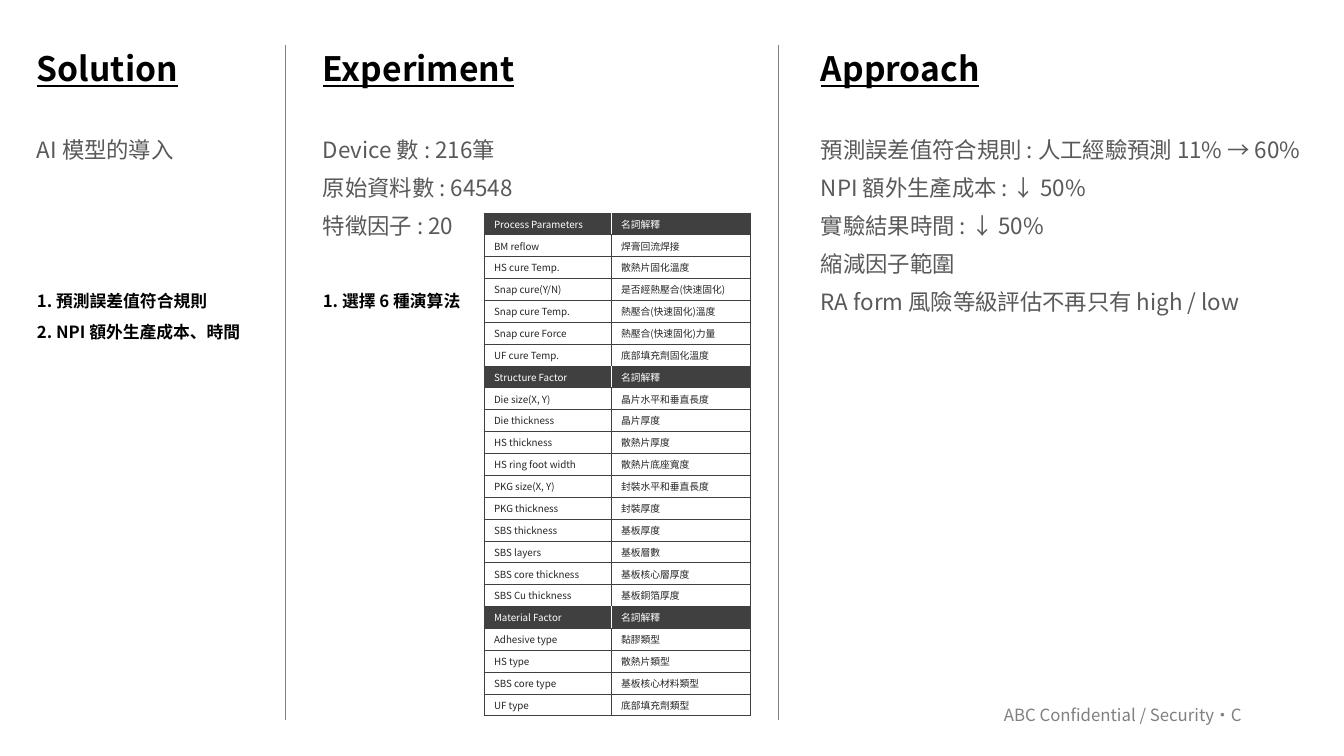
from lxml import etree
from pptx import Presentation
from pptx.dml.color import RGBColor
from pptx.enum.shapes import MSO_CONNECTOR
from pptx.enum.text import MSO_ANCHOR, MSO_AUTO_SIZE
from pptx.oxml.ns import qn
from pptx.util import Pt

STRAIGHT = MSO_CONNECTOR.STRAIGHT
MIDDLE = MSO_ANCHOR.MIDDLE
GROW = MSO_AUTO_SIZE.SHAPE_TO_FIT_TEXT

BLACK = RGBColor(0x00, 0x00, 0x00)
WHITE = RGBColor(0xFF, 0xFF, 0xFF)
DARK = RGBColor(0x40, 0x40, 0x40)
CELL_INK = RGBColor(0x26, 0x26, 0x26)
BODY_INK = RGBColor(0x59, 0x59, 0x59)
GRAY = RGBColor(0x80, 0x80, 0x80)
FONT = "Noto Sans CJK SC"

# Content: left, width, heading, body lines, numbered notes with their width
COLUMNS = [
    (27, 168, "Solution", ["AI 模型的導入"],
     ["1. 預測誤差值符合規則", "2. NPI 額外生產成本、時間"], 236),
    (313, 222, "Experiment",
     ["Device 數 : 216筆", "原始資料數 : 64548", "特徵因子 : 20"],
     ["1. 選擇 6 種演算法"], 162),
    (811, 512, "Approach",
     ["預測誤差值符合規則 : 人工經驗預測 11% → 60%", "NPI 額外生產成本 : ↓ 50%",
      "實驗結果時間 : ↓ 50%", "縮減因子範圍",
      "RA form 風險等級評估不再只有 high / low"], [], 0),
]
FOOTER = "ABC Confidential / Security·C"
TERM_HEADING = "名詞解釋"
FACTOR_GROUPS = {
    "Process Parameters": [
        ("BM reflow", "焊膏回流焊接"),
        ("HS cure Temp.", "散熱片固化溫度"),
        ("Snap cure(Y/N)", "是否經熱壓合(快速固化)"),
        ("Snap cure Temp.", "熱壓合(快速固化)溫度"),
        ("Snap cure Force", "熱壓合(快速固化)力量"),
        ("UF cure Temp.", "底部填充劑固化溫度"),
    ],
    "Structure Factor": [
        ("Die size(X, Y)", "晶片水平和垂直長度"),
        ("Die thickness", "晶片厚度"),
        ("HS thickness", "散熱片厚度"),
        ("HS ring foot width", "散熱片底座寬度"),
        ("PKG size(X, Y)", "封裝水平和垂直長度"),
        ("PKG thickness", "封裝厚度"),
        ("SBS thickness", "基板厚度"),
        ("SBS layers", "基板層數"),
        ("SBS core thickness", "基板核心層厚度"),
        ("SBS Cu thickness", "基板銅箔厚度"),
    ],
    "Material Factor": [
        ("Adhesive type", "黏膠類型"),
        ("HS type", "散熱片類型"),
        ("SBS core type", "基板核心材料類型"),
        ("UF type", "底部填充劑類型"),
    ],
}

# Layout in px
SLIDE_WIDTH, SLIDE_HEIGHT = 1344, 756
TOP, NOTES_TOP = 45, 276
DIVIDERS, DIVIDER_BOTTOM = (285, 778), 720
TABLE_LEFT, TABLE_TOP, TABLE_HEIGHT = 484, 213, 503
TABLE_COLUMNS = (127, 139)


def px(length):
    return round(length * 914400 / 100.8)


def write(paragraph, text, size, color, bold=False, underline=False,
          spacing=None, after=0):
    run = paragraph.add_run()
    run.text = text
    font = run.font
    font.name, font.size, font.bold, font.underline = FONT, Pt(size), bold, underline
    font.color.rgb = color
    etree.SubElement(font._element, qn("a:ea"), typeface=FONT)
    if spacing:
        paragraph.line_spacing = spacing
    paragraph.space_after = Pt(after)


def add_text(slide, left, top, width, height, lines):
    shape = slide.shapes.add_textbox(px(left), px(top), px(width), px(height))
    frame = shape.text_frame
    frame.word_wrap, frame.auto_size = True, GROW
    for index, (text, style) in enumerate(lines):
        paragraph = frame.add_paragraph() if index else frame.paragraphs[0]
        write(paragraph, text, **style)


def set_borders(cell, colors):
    properties = cell._tc.get_or_add_tcPr()
    for index, (side, color) in enumerate(zip("LRTB", colors)):
        line = etree.Element(qn(f"a:ln{side}"), w=str(Pt(0.75)))
        fill = etree.SubElement(line, qn("a:solidFill"))
        etree.SubElement(fill, qn("a:srgbClr"), val=str(color))
        properties.insert(index, line)


def add_factor_table(slide):
    rows = []
    for heading, factors in FACTOR_GROUPS.items():
        rows.append((True, (heading, TERM_HEADING)))
        rows += [(False, factor) for factor in factors]
    table = slide.shapes.add_table(
        len(rows), len(TABLE_COLUMNS), px(TABLE_LEFT), px(TABLE_TOP),
        px(sum(TABLE_COLUMNS)), px(TABLE_HEIGHT)).table
    for column, width in zip(table.columns, TABLE_COLUMNS):
        column.width = px(width)
    for row, (is_heading, texts) in zip(table.rows, rows):
        row.height = px(TABLE_HEIGHT / len(rows))
        divider = WHITE if is_heading else DARK
        edges = (DARK, divider, DARK)
        for index, (cell, text) in enumerate(zip(row.cells, texts)):
            cell.margin_top = cell.margin_bottom = px(2)
            cell.vertical_anchor = MIDDLE
            cell.fill.solid()
            cell.fill.fore_color.rgb = DARK if is_heading else WHITE
            set_borders(cell, (edges[index], edges[index + 1], DARK, DARK))
            write(cell.text_frame.paragraphs[0], text, size=7,
                  color=WHITE if is_heading else CELL_INK)


def main():
    presentation = Presentation()
    presentation.slide_width = px(SLIDE_WIDTH)
    presentation.slide_height = px(SLIDE_HEIGHT)
    slide = presentation.slides.add_slide(presentation.slide_layouts[6])

    heading_style = dict(size=24, color=BLACK, bold=True, underline=True,
                         spacing=Pt(27), after=27)
    body_style = dict(size=16, color=BODY_INK, spacing=Pt(27))
    note_style = dict(size=12, color=BLACK, bold=True, spacing=1.5)

    # Footer
    add_text(slide, 994, 700, 280, 30, [(FOOTER, dict(size=12, color=GRAY))])

    # Column dividers
    for x in DIVIDERS:
        line = slide.shapes.add_connector(
            STRAIGHT, px(x), px(TOP), px(x), px(DIVIDER_BOTTOM))
        line.line.color.rgb = GRAY
        line.line.width = Pt(0.5)
        etree.SubElement(line._element.spPr, qn("a:effectLst"))

    # Column texts
    for left, width, heading, body, notes, notes_width in COLUMNS:
        lines = [(heading, heading_style)] + [(text, body_style) for text in body]
        add_text(slide, left, TOP, width, 86 + 38 * len(body), lines)
        if notes:
            add_text(slide, left, NOTES_TOP, notes_width, 9 + 31 * len(notes),
                     [(text, note_style) for text in notes])

    # Factor table
    add_factor_table(slide)

    presentation.save("out.pptx")


if __name__ == "__main__":
    main()
